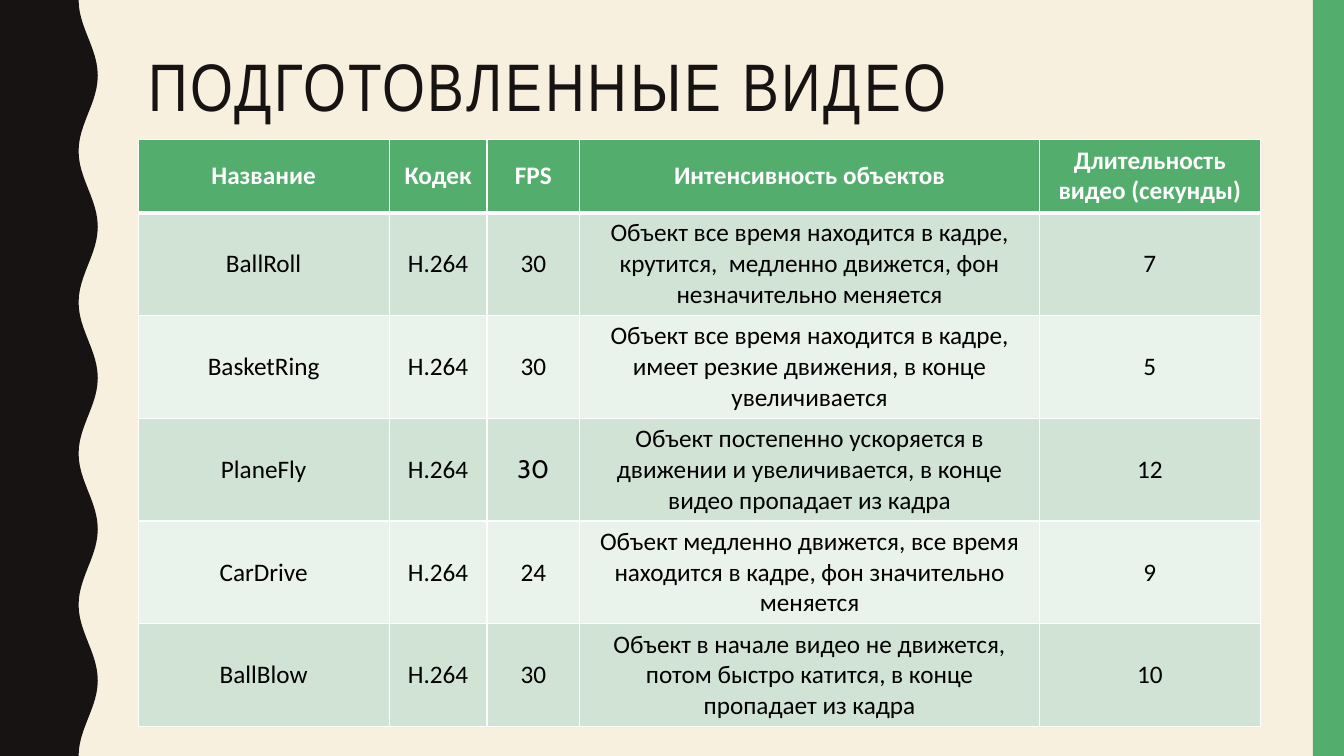
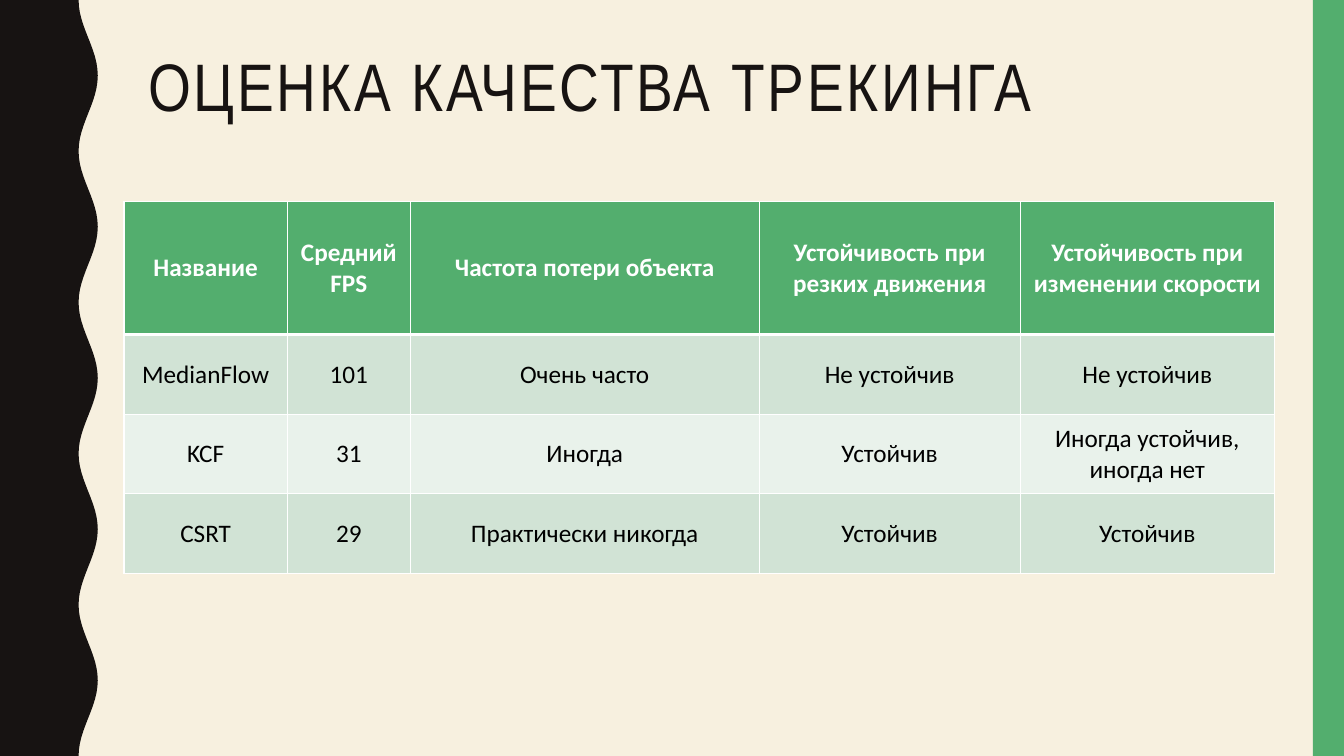
from math import cos, pi

from lxml.etree import SubElement
from pptx import Presentation
from pptx.dml.color import RGBColor
from pptx.enum.shapes import MSO_SHAPE as Shape
from pptx.enum.text import MSO_ANCHOR as Anchor, PP_ALIGN as Align
from pptx.oxml.ns import qn
from pptx.util import Inches, Pt

CREAM = RGBColor(0xF7, 0xF0, 0xDF)
DARK = RGBColor(0x17, 0x13, 0x12)
GREEN = RGBColor(0x53, 0xAE, 0x6E)
MINT = RGBColor(0xD1, 0xE3, 0xD5)
PALE = RGBColor(0xE9, 0xF2, 0xEB)
WHITE = RGBColor(0xFF, 0xFF, 0xFF)
BLACK = RGBColor(0, 0, 0)

WIDTH, HEIGHT = 13.33, 7.5
BAND = 0.31
WAVE_MID, WAVE_AMP, WAVE_LEN = 0.875, 0.095, 1.5
STEPS = 120
HEAD_FONT, BODY_FONT, ALT_FONT = "Arial Narrow", "Calibri", "Cabin"


class Deck:
    def __init__(self):
        self.prs = Presentation()
        self.prs.slide_width = Inches(WIDTH)
        self.prs.slide_height = Inches(HEIGHT)
        self.slide = None

    def start(self, title):
        """Open a slide with its background, side bands and title."""
        self.slide = self.prs.slides.add_slide(self.prs.slide_layouts[6])
        fill = self.slide.background.fill
        fill.solid()
        fill.fore_color.rgb = CREAM
        self.wave()
        self.paint(self.slide.shapes.add_shape(
            Shape.RECTANGLE, Inches(WIDTH - BAND), 0,
            Inches(BAND), Inches(HEIGHT)), GREEN)
        self.title(title)

    def paint(self, shape, color):
        shape.shadow.inherit = False
        shape.fill.solid()
        shape.fill.fore_color.rgb = color
        shape.line.fill.background()

    def wave(self):
        """Draw the left band, whose right edge is a cosine."""
        edge = []
        for step in range(STEPS + 1):
            y = HEIGHT * step / STEPS
            x = WAVE_MID - WAVE_AMP * cos(2 * pi * y / WAVE_LEN)
            edge.append((Inches(x), Inches(y)))
        form = self.slide.shapes.build_freeform(0, 0)
        form.add_line_segments(edge + [(0, Inches(HEIGHT))], close=True)
        self.paint(form.convert_to_shape(), DARK)

    def run(self, para, text, font, size, color, bold=False):
        run = para.add_run()
        run.text = text
        run.font.name = font
        run.font.size = Pt(size)
        run.font.bold = bold
        run.font.color.rgb = color
        return run

    def title(self, text):
        box = self.slide.shapes.add_textbox(
            Inches(1.37), Inches(0.42), Inches(11.13), Inches(0.95))
        frame = box.text_frame
        frame.word_wrap = True
        frame.vertical_anchor = Anchor.MIDDLE
        para = frame.paragraphs[0]
        para.line_spacing = 0.9
        run = self.run(para, text, HEAD_FONT, 48, DARK)
        run._r.get_or_add_rPr().set("spc", "200")

    def border(self, cell, row):
        """Rule the cell in white, thicker below the header row."""
        props = cell._tc.get_or_add_tcPr()
        top = 3 if row == 1 else 1
        base = 3 if row == 0 else 1
        for side, width in zip("LRTB", (1, 1, top, base)):
            line = SubElement(props, qn(f"a:ln{side}"), w=str(Pt(width)))
            fill = SubElement(line, qn("a:solidFill"))
            SubElement(fill, qn("a:srgbClr"), val=str(WHITE))

    def cell(self, cell, row, text, font):
        self.border(cell, row)
        head = row == 0
        cell.fill.solid()
        cell.fill.fore_color.rgb = GREEN if head else MINT if row % 2 else PALE
        cell.vertical_anchor = Anchor.MIDDLE
        para = cell.text_frame.paragraphs[0]
        para.alignment = Align.CENTER
        self.run(para, text, font, 18, WHITE if head else BLACK, head)

    def table(self, left, top, widths, heights, rows, fonts=None):
        """Add a table; fonts maps (row, column) to a special font."""
        fonts = fonts or {}
        table = self.slide.shapes.add_table(
            len(rows), len(widths), Inches(left), Inches(top),
            Inches(sum(widths)), Inches(sum(heights))).table
        for col, width in zip(table.columns, widths):
            col.width = Inches(width)
        for r, (height, texts) in enumerate(zip(heights, rows)):
            table.rows[r].height = Inches(height)
            for c, text in enumerate(texts):
                font = fonts.get((r, c), BODY_FONT)
                self.cell(table.cell(r, c), r, text, font)


VIDEOS = [
    ("Название", "Кодек", "FPS", "Интенсивность объектов",
     "Длительность видео (секунды)"),
    ("BallRoll", "H.264", "30",
     "Объект все время находится в кадре, крутится,  медленно движется, "
     "фон незначительно меняется", "7"),
    ("BasketRing", "H.264", "30",
     "Объект все время находится в кадре, имеет резкие движения, "
     "в конце увеличивается", "5"),
    ("PlaneFly", "H.264", "30",
     "Объект постепенно ускоряется в движении и увеличивается, "
     "в конце видео пропадает из кадра", "12"),
    ("CarDrive", "H.264", "24",
     "Объект медленно движется, все время находится в кадре, "
     "фон значительно меняется", "9"),
    ("BallBlow", "H.264", "30",
     "Объект в начале видео не движется, потом быстро катится, "
     "в конце пропадает из кадра", "10"),
]

SCORES = [
    ("Название", "Средний FPS", "Частота потери объекта",
     "Устойчивость при резких движения",
     "Устойчивость при изменении скорости"),
    ("MedianFlow", "101", "Очень часто", "Не устойчив", "Не устойчив"),
    ("KCF", "31", "Иногда", "Устойчив", "Иногда устойчив, иногда нет"),
    ("CSRT", "29", "Практически никогда", "Устойчив", "Устойчив"),
]


def main():
    deck = Deck()
    deck.start("ПОДГОТОВЛЕННЫЕ ВИДЕО")
    deck.table(1.37, 1.38, (2.49, 0.97, 0.92, 4.56, 2.19),
               [0.73] + [1.02] * 5, VIDEOS, {(3, 2): ALT_FONT})
    deck.start("ОЦЕНКА КАЧЕСТВА ТРЕКИНГА")
    deck.table(1.23, 2, (1.62, 1.22, 3.46, 2.59, 2.52),
               [1.32] + [0.79] * 3, SCORES)
    deck.prs.save("out.pptx")


if __name__ == "__main__":
    main()
